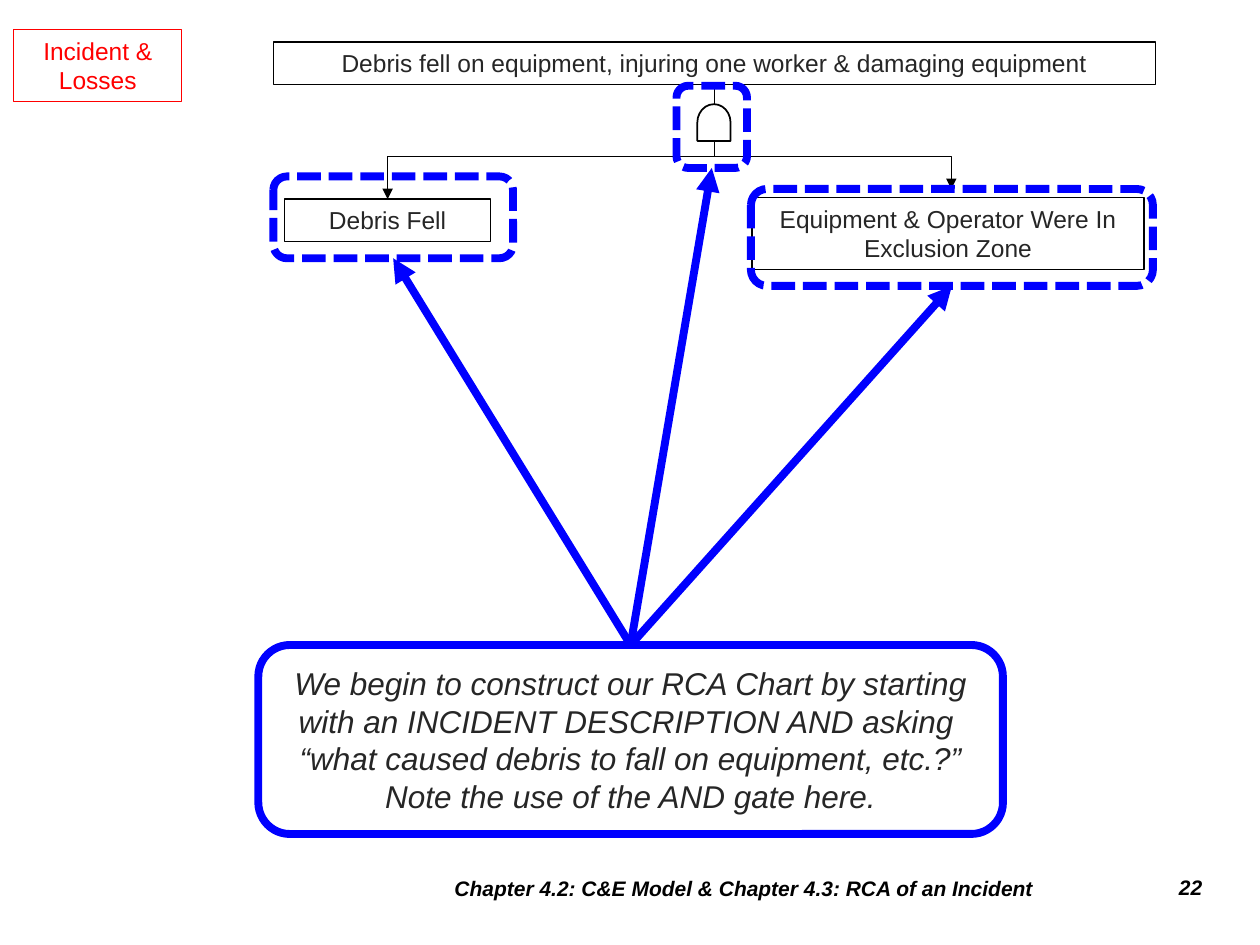
from lxml.etree import SubElement
from pptx import Presentation
from pptx.dml.color import RGBColor
from pptx.enum.dml import MSO_LINE
from pptx.enum.shapes import MSO_CONNECTOR, MSO_SHAPE
from pptx.enum.text import MSO_ANCHOR, PP_ALIGN
from pptx.oxml.ns import qn
from pptx.util import Pt

COLORS = {"white": "FFFFFF", "black": "000000", "text": "262626", "red": "FF0000", "blue": "0000FF"}
FONT = "Arial"

# Places are left, top, width, height in points.
BOXES = [
    ("Debris fell on equipment, injuring one worker & damaging equipment",
     (156.24, 24, 504, 24.2), "black", "text"),
    ("Debris Fell", (162.5, 113.8, 118, 24.2), "black", "text"),
    ("Equipment & Operator Were In Exclusion Zone", (429.8, 112.8, 224, 41.2), "black", "text"),
    ("Incident & Losses", (7.9, 17, 96, 41.2), "red", "red"),
]
# Target point, share of the drop before the bend
GATE_OUTPUTS = [((221.5, 113.8), 0.633), ((543.6, 108), 0.689)]
GATE_START = (408.24, 48.2)
GATE = (397.5, 60.5, 21, 19)
HIGHLIGHTS = [
    (156.2, 100.8, 137, 46.8),
    (429.1, 108, 229.7, 55.4),
    (386.6, 49, 40.3, 47),
]
NOTE_PLACE = (147.6, 368.6, 425.5, 108)
NOTE = [
    "We begin to construct our RCA Chart by starting with an INCIDENT DESCRIPTION AND asking \v"
    "“what caused debris to fall on equipment, etc.?”",
    "Note the use of the AND gate here.",
]
FOOTERS = [
    ("Chapter 4.2: C&E Model & Chapter 4.3: RCA of an Incident",
     (212.4, 496.1, 425.5, 22.3), PP_ALIGN.CENTER, MSO_ANCHOR.MIDDLE),
    ("22", (652.3, 496.1, 41.8, 22.3), PP_ALIGN.RIGHT, MSO_ANCHOR.TOP),
]


def rgb(name):
    return RGBColor.from_string(COLORS[name])


def points(values):
    return [Pt(value) for value in values]


def write(shape, paragraphs, size, color, align=PP_ALIGN.CENTER, anchor=MSO_ANCHOR.TOP,
          bold=False, italic=False):
    frame = shape.text_frame
    frame.word_wrap = True
    frame.vertical_anchor = anchor
    for index, text in enumerate(paragraphs):
        paragraph = frame.add_paragraph() if index else frame.paragraphs[0]
        paragraph.text = text
        paragraph.alignment = align
        font = paragraph.font
        font.name, font.size, font.bold, font.italic = FONT, Pt(size), bold, italic
        font.color.rgb = rgb(color)


def add_outline(shapes, kind, place, color, width, fill=None):
    shape = shapes.add_shape(kind, *points(place))
    shape.shadow.inherit = False
    if fill:
        shape.fill.solid()
        shape.fill.fore_color.rgb = rgb(fill)
    else:
        shape.fill.background()
    shape.line.color.rgb = rgb(color)
    shape.line.width = Pt(width)
    return shape


def add_arrow(shapes, kind, start, end, color, width, arrow_end):
    """Draw a connector; arrow_end is headEnd (at start) or tailEnd (at end)."""
    connector = shapes.add_connector(kind, *points(start + end))
    connector.line.color.rgb = rgb(color)
    connector.line.width = Pt(width)
    SubElement(connector.line._get_or_add_ln(), qn("a:" + arrow_end), type="triangle")
    SubElement(connector._element.spPr, qn("a:effectLst"))
    return connector


def add_drop(shapes, start, end, bend):
    """Draw an elbow that leaves downward: a sideways elbow turned by a quarter."""
    connector = add_arrow(shapes, MSO_CONNECTOR.ELBOW, start, end, "black", 0.5, "tailEnd")
    (x1, y1), (x2, y2) = start, end
    width, height = y2 - y1, abs(x2 - x1)
    connector.left, connector.top = points(((x1 + x2 - width) / 2, (y1 + y2 - height) / 2))
    connector.width, connector.height = points((width, height))
    properties = connector._element.spPr
    goes_right = x2 > x1
    properties.xfrm.set("rot", str((270 if goes_right else 90) * 60000))
    properties.xfrm.set("flipH", "1" if goes_right else "0")
    adjustments = properties.find(qn("a:prstGeom")).get_or_add_avLst()
    SubElement(adjustments, qn("a:gd"), name="adj1", fmla=f"val {round(bend * 100000)}")


def main():
    presentation = Presentation()
    presentation.slide_width, presentation.slide_height = Pt(720), Pt(540)
    slide = presentation.slides.add_slide(presentation.slide_layouts[6])
    shapes = slide.shapes

    for text, place, line, color in BOXES:
        box = add_outline(shapes, MSO_SHAPE.RECTANGLE, place, line, 0.75, "white")
        write(box, [text], 14, color)

    for target, bend in GATE_OUTPUTS:
        add_drop(shapes, GATE_START, target, bend)
    gate = add_outline(shapes, MSO_SHAPE.FLOWCHART_DELAY, GATE, "black", 1, "white")
    gate.rotation = 270

    note = add_outline(shapes, MSO_SHAPE.ROUNDED_RECTANGLE, NOTE_PLACE, "blue", 4.5)
    write(note, NOTE, 18, "text", anchor=MSO_ANCHOR.MIDDLE, italic=True)

    for place in HIGHLIGHTS:
        highlight = add_outline(shapes, MSO_SHAPE.ROUNDED_RECTANGLE, place, "blue", 4.5)
        highlight.line.dash_style = MSO_LINE.SQUARE_DOT
        pointer = add_arrow(shapes, MSO_CONNECTOR.STRAIGHT, (0, 0), (0, 0), "blue", 4.5, "headEnd")
        pointer.begin_connect(highlight, 2)
        pointer.end_connect(note, 0)

    for text, place, align, anchor in FOOTERS:
        footer = shapes.add_textbox(*points(place))
        write(footer, [text], 12, "black", align, anchor, bold=True, italic=True)

    presentation.save("out.pptx")


if __name__ == "__main__":
    main()
